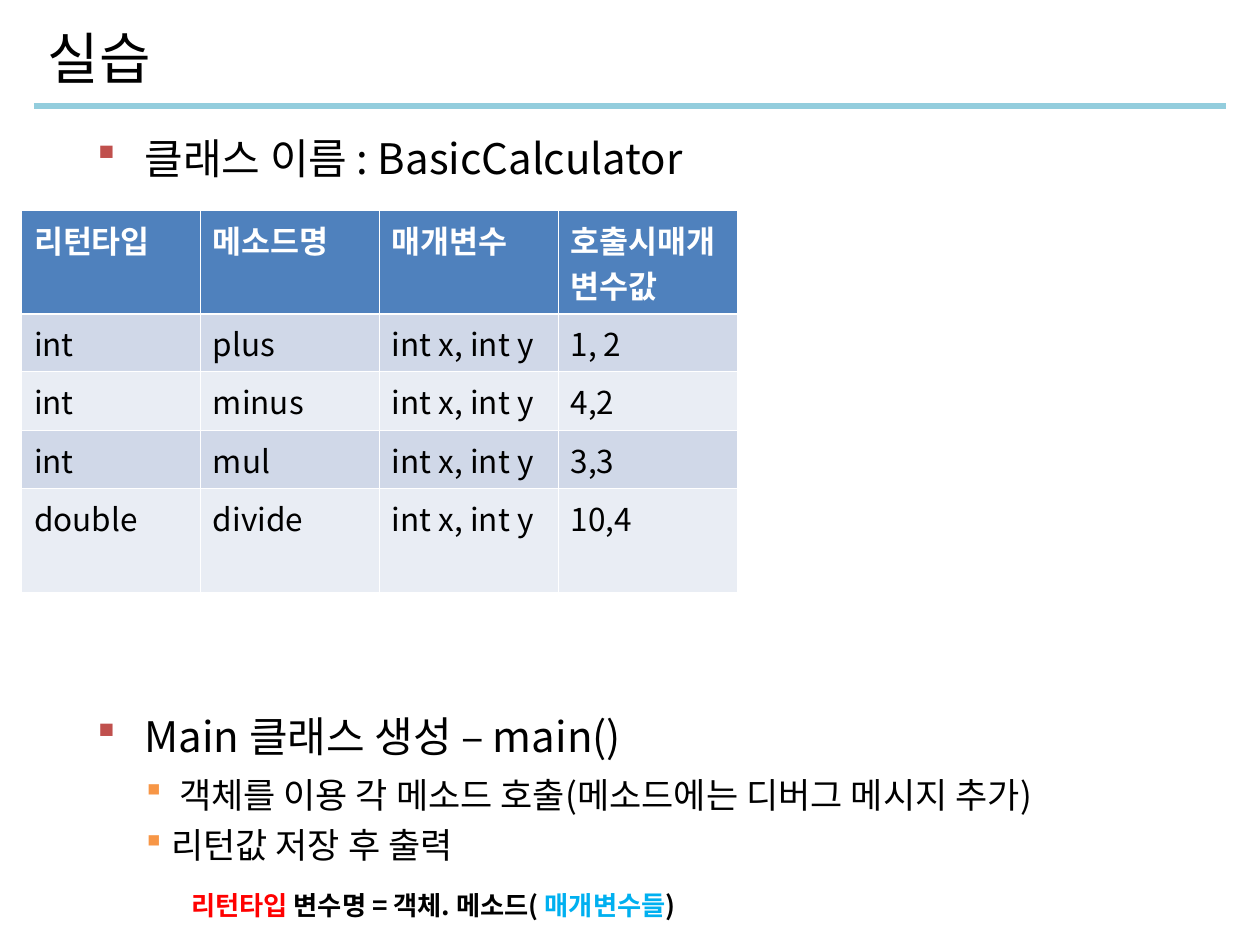
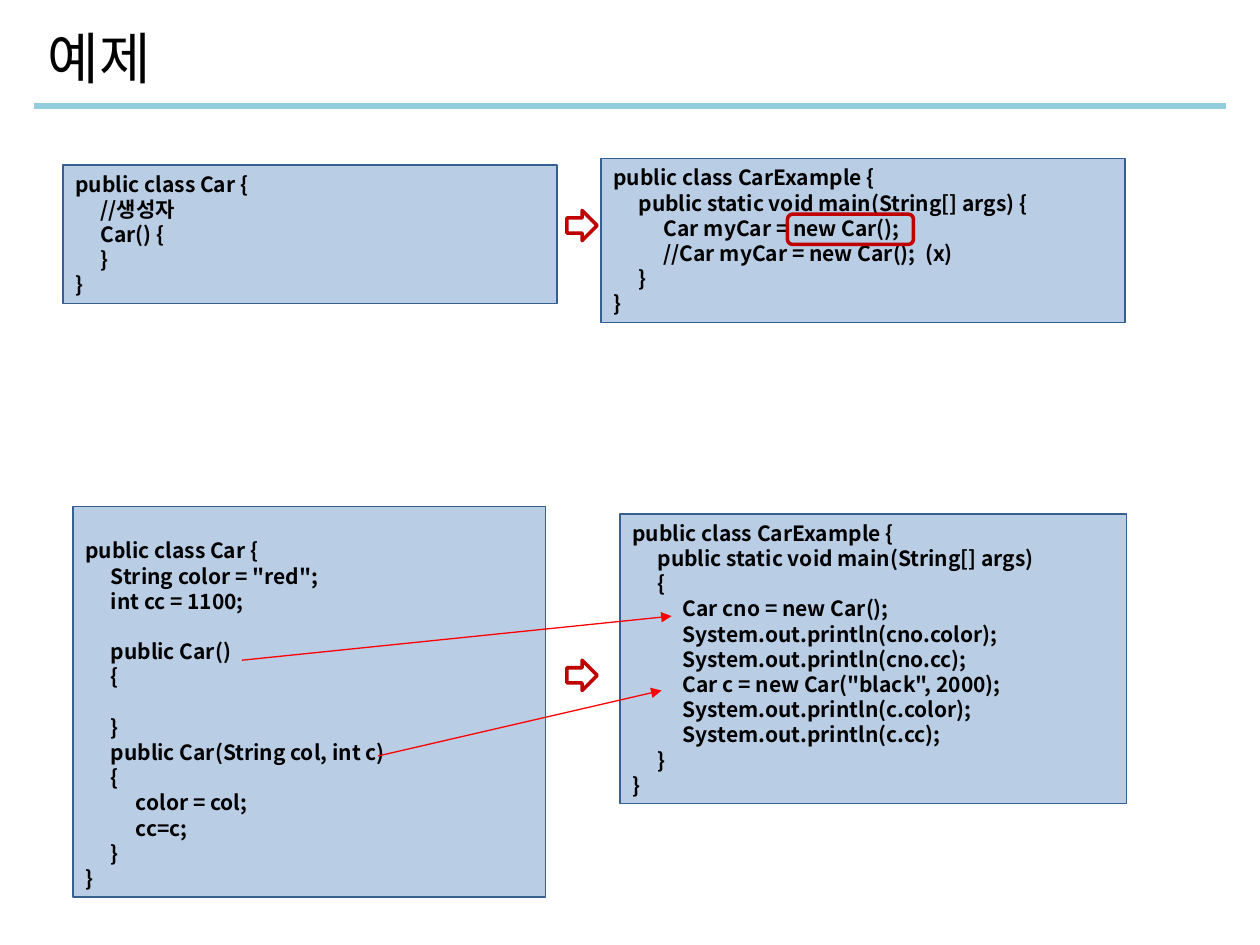
from lxml import etree
from pptx import Presentation
from pptx.dml.color import RGBColor
from pptx.enum import shapes, text
from pptx.oxml import ns
from pptx.util import Inches, Pt

FONT = "Noto Sans CJK KR"
COLORS = {
    "text": "000000", "white": "FFFFFF", "rule": "93CDDD",
    "bullet": "C0504D", "sub_bullet": "F79646",
    "header": "4F81BD", "odd_row": "D0D8E8", "even_row": "E9EDF4",
    "code_fill": "B9CDE5", "code_line": "376092",
    "mark": "C00000", "red": "FF0000", "sky": "00B0F0",
}
CODE_LINE = 0.2  # height of one code line, inches
INSET = 0.05  # top and bottom text inset, inches

METHODS = [
    ("리턴타입", "메소드명", "매개변수", "호출시매개변수값"),
    ("int", "plus", "int x, int y", "1, 2"),
    ("int", "minus", "int x, int y", "4,2"),
    ("int", "mul", "int x, int y", "3,3"),
    ("double", "divide", "int x, int y", "10,4"),
]

CAR_EMPTY = """public class Car {
\t//생성자
\tCar() {
\t}
}"""

EXAMPLE_NEW = """public class CarExample {
\tpublic static void main(String[] args) {
\t\tCar myCar = new Car();
\t\t//Car myCar = new Car();  (x)
\t}
}"""

CAR_OVERLOADED = """public class Car {
\tString color = "red";
\tint cc = 1100;
\t
\tpublic Car()
\t{
\t\t
\t}
\tpublic Car(String col, int c)
\t{
\t\tcolor = col;
\t\tcc=c;
\t}
}"""

EXAMPLE_OVERLOADED = """public class CarExample {
\tpublic static void main(String[] args)
\t{
\t\tCar cno = new Car();
\t\tSystem.out.println(cno.color);
\t\tSystem.out.println(cno.cc);
\t\tCar c = new Car("black", 2000);
\t\tSystem.out.println(c.color);
\t\tSystem.out.println(c.cc);
\t}
}"""


def rgb(name):
    return RGBColor.from_string(COLORS[name])


def add_xml(parent, tag, **attrs):
    return etree.SubElement(parent, ns.qn(tag), attrs)


def style_run(r, size, color="text", bold=False):
    r.font.size, r.font.bold, r.font.name = Pt(size), bold, FONT
    r.font.color.rgb = rgb(color)
    add_xml(r._r.get_or_add_rPr(), "a:ea", typeface=FONT)


def style_paragraph(p, size, color="text", bold=False):
    for r in p.runs:
        style_run(r, size, color, bold)


def add_text_box(slide, left, top, width, height):
    sp = slide.shapes.add_textbox(*map(Inches, (left, top, width, height)))
    sp.text_frame.word_wrap = True
    return sp.text_frame


def add_line(slide, start, end, color, width):
    ends = map(Inches, (*start, *end))
    line = slide.shapes.add_connector(shapes.MSO_CONNECTOR.STRAIGHT, *ends)
    line.line.color.rgb, line.line.width = rgb(color), Pt(width)
    add_xml(line._element.spPr, "a:effectLst")
    return line


def add_preset(slide, kind, box, line, width, fill=None):
    sp = slide.shapes.add_shape(kind, *map(Inches, box))
    sp.shadow.inherit = False
    sp.line.color.rgb, sp.line.width = rgb(line), Pt(width)
    if fill:
        sp.fill.solid()
        sp.fill.fore_color.rgb = rgb(fill)
    else:
        sp.fill.background()
    return sp


def add_titled_slide(prs, title):
    slide = prs.slides.add_slide(prs.slide_layouts[6])
    add_line(slide, (0.27, 0.84), (9.73, 0.84), "rule", 3.5)
    tf = add_text_box(slide, 0.28, 0.08, 8.92, 0.74)
    tf.vertical_anchor = text.MSO_ANCHOR.MIDDLE
    tf.text = title
    style_paragraph(tf.paragraphs[0], 32)
    return slide


def add_bullets(slide, top, height, items):
    """Write (level, wording) items as square-bulleted paragraphs."""
    levels = [(0.38, -0.38, 24, 6, 2, "bullet"),
              (0.59, -0.2, 20, 5, 0, "sub_bullet")]
    tf = add_text_box(slide, 0.67, top, 8.92, height)
    for i, (level, wording) in enumerate(items):
        margin, indent, size, before, after, color = levels[level]
        p = tf.add_paragraph() if i else tf.paragraphs[0]
        p.text, p.level = wording, level
        pPr = p._p.get_or_add_pPr()
        pPr.set("marL", str(Inches(margin)))
        pPr.set("indent", str(Inches(indent)))
        add_xml(add_xml(pPr, "a:buClr"), "a:srgbClr", val=COLORS[color])
        add_xml(pPr, "a:buFont", typeface="Wingdings", charset="2")
        add_xml(pPr, "a:buChar", char="§")
        p.space_before = Pt(before if i else 0)
        p.space_after = Pt(after)
        style_paragraph(p, size)


def set_borders(cell, widths):
    """Draw white borders; widths are left, right, top, bottom in points."""
    tcPr = cell._tc.get_or_add_tcPr()
    for i, (side, width) in enumerate(zip("LRTB", widths)):
        ln = etree.Element(ns.qn(f"a:ln{side}"), w=str(Pt(width)))
        fill = add_xml(ln, "a:solidFill")
        add_xml(fill, "a:srgbClr", val=COLORS["white"])
        tcPr.insert(i, ln)


def add_method_table(slide, left, top, col_width, row_heights):
    n_rows, n_cols = len(METHODS), len(METHODS[0])
    size = (col_width * n_cols, sum(row_heights))
    table = slide.shapes.add_table(
        n_rows, n_cols, *map(Inches, (left, top, *size))).table
    for col in table.columns:
        col.width = Inches(col_width)
    for i, values in enumerate(METHODS):
        table.rows[i].height = Inches(row_heights[i])
        fill = "header" if i == 0 else ("even_row", "odd_row")[i % 2]
        for j, value in enumerate(values):
            cell = table.cell(i, j)
            cell.text = value
            cell.fill.solid()
            cell.fill.fore_color.rgb = rgb(fill)
            set_borders(cell, (0.45, 0.45, 1.47 if i == 1 else 0.45,
                               1.47 if i == 0 else 0.45))
            style_paragraph(cell.text_frame.paragraphs[0], 18,
                            "text" if i else "white", bold=i == 0)


def add_call_pattern(slide, left, top):
    tf = add_text_box(slide, left, top, 6.13, 0.35)
    p = tf.paragraphs[0]
    for wording, color in [("리턴타입", "red"), (" 변수명 = 객체. 메소드( ", "text"),
                           ("매개변수들", "sky"), (")", "text")]:
        r = p.add_run()
        r.text = wording
        style_run(r, 15, color, bold=True)


def add_code(slide, left, top, width, code, lead=0):
    """Put code in a box as tall as its lines, with lead inches above."""
    lines = code.split("\n")
    height = len(lines) * CODE_LINE + 2 * INSET + lead
    sp = add_preset(slide, shapes.MSO_SHAPE.RECTANGLE,
                    (left, top, width, height), "code_line", 0.75, "code_fill")
    tf = sp.text_frame
    tf.word_wrap = True
    tf.vertical_anchor = text.MSO_ANCHOR.TOP
    tf.margin_top = Inches(INSET + lead)
    tf.text = code
    for p in tf.paragraphs:
        p.alignment = text.PP_ALIGN.LEFT
        tabs = add_xml(p._p.get_or_add_pPr(), "a:tabLst")
        for n in range(1, 8):
            add_xml(tabs, "a:tab", pos=str(Inches(0.2 * n)), algn="l")
        style_paragraph(p, 12, bold=True)


def add_call_arrow(slide, start, end):
    arrow = add_line(slide, start, end, "red", 0.75)
    add_xml(arrow.line._get_or_add_ln(), "a:tailEnd", type="triangle")


def build_practice(prs):
    slide = add_titled_slide(prs, "실습")
    add_bullets(slide, 1, 0.5, [(0, "클래스 이름 : BasicCalculator")])
    add_method_table(slide, 0.17, 1.67, 1.42, [0.82, 0.46, 0.47, 0.46, 0.82])
    add_bullets(slide, 5.59, 1.4, [
        (0, "Main 클래스 생성 – main()"),
        (1, " 객체를 이용 각 메소드 호출(메소드에는 디버그 메시지 추가)"),
        (1, "리턴값 저장 후 출력"),
    ])
    add_call_pattern(slide, 1.42, 7.01)


def build_example(prs):
    slide = add_titled_slide(prs, "예제")
    add_code(slide, 4.92, 4.08, 4.02, EXAMPLE_OVERLOADED)
    add_code(slide, 0.58, 4.02, 3.75, CAR_OVERLOADED, lead=CODE_LINE)
    add_code(slide, 0.5, 1.31, 3.92, CAR_EMPTY)
    add_code(slide, 4.77, 1.26, 4.16, EXAMPLE_NEW)
    for top in (1.67, 5.24):
        add_preset(slide, shapes.MSO_SHAPE.RIGHT_ARROW,
                   (4.5, top, 0.24, 0.24), "mark", 2)
    add_preset(slide, shapes.MSO_SHAPE.ROUNDED_RECTANGLE,
               (6.25, 1.7, 1, 0.24), "mark", 2)
    add_call_arrow(slide, (3, 6), (5.25, 5.48))
    add_call_arrow(slide, (1.92, 5.24), (5.33, 4.89))


def main():
    prs = Presentation()
    prs.slide_width, prs.slide_height = Inches(10), Inches(7.5)
    build_practice(prs)
    build_example(prs)
    prs.save("out.pptx")


if __name__ == "__main__":
    main()
